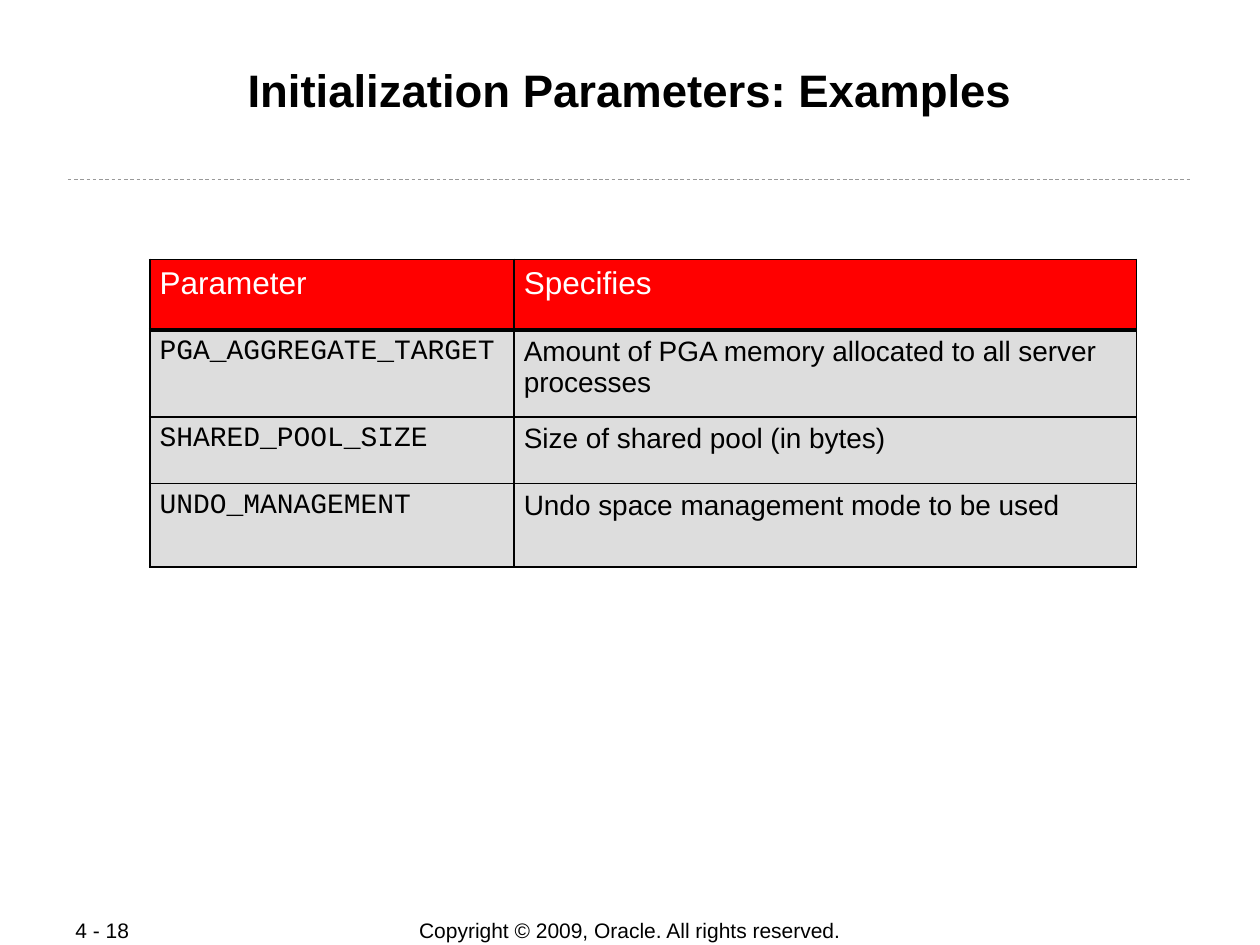
from pptx import Presentation
from pptx.dml.color import RGBColor
from pptx.enum.dml import MSO_LINE
from pptx.enum.shapes import MSO_CONNECTOR
from pptx.enum.text import MSO_ANCHOR, PP_ALIGN
from pptx.oxml.ns import qn
from pptx.util import Cm, Pt
from lxml.etree import SubElement

ROWS = [
    ("Parameter", "Specifies"),
    ("PGA_AGGREGATE_TARGET", "Amount of PGA memory allocated to all server processes"),
    ("SHARED_POOL_SIZE", "Size of shared pool (in bytes)"),
    ("UNDO_MANAGEMENT", "Undo space management mode to be used"),
]
COLS = [7.34, 12.55]
HEIGHTS = [1.42, 1.75, 1.35, 1.68]


def color(code):
    return RGBColor.from_string(code)


def write(frame, text, size, code="000000", face="Arial", bold=False, align=PP_ALIGN.LEFT):
    para = frame.paragraphs[0]
    para.alignment = align
    run = para.add_run()
    run.text = text
    font = run.font
    font.size, font.name, font.bold = Pt(size), face, bold
    font.color.rgb = color(code)


def add_box(slide, box, inset, wrap, anchor):
    frame = slide.shapes.add_textbox(*map(Cm, box)).text_frame
    frame.word_wrap = wrap
    frame.vertical_anchor = anchor
    frame.margin_left = frame.margin_right = Cm(inset[0])
    frame.margin_top = frame.margin_bottom = Cm(inset[1])
    return frame


def add_head(slide, left, top, width, height):
    frame = add_box(slide, (left, top, width, height), (0.03, 0.03), True, MSO_ANCHOR.TOP)
    write(frame, "Initialization Parameters: Examples", 26, bold=True, align=PP_ALIGN.CENTER)
    inset, base = 0.33, Cm(top + 2.39)
    rule = slide.shapes.add_connector(
        MSO_CONNECTOR.STRAIGHT, Cm(left - inset), base, Cm(left + width + inset), base)
    rule.line.color.rgb = color("999999")
    rule.line.width = Pt(0.5)
    rule.line.dash_style = MSO_LINE.DASH
    SubElement(rule._element.spPr, qn("a:effectLst"))


def add_edge(cell, side, width):
    line = SubElement(cell._tc.get_or_add_tcPr(), qn("a:" + side), w=str(Pt(width)))
    fill = SubElement(line, qn("a:solidFill"))
    SubElement(fill, qn("a:srgbClr"), val="000000")


def add_cell(cell, text, row, col):
    head = row == 0
    cell.margin_left = cell.margin_right = Cm(0.2)
    cell.margin_top = cell.margin_bottom = Cm(0.13)
    for side in ("lnL", "lnR", "lnT", "lnB"):
        thick = (side, row) in (("lnB", 0), ("lnT", 1))
        add_edge(cell, side, 2.21 if thick else 1.08)
    cell.fill.solid()
    cell.fill.fore_color.rgb = color("FF0000" if head else "DDDDDD")
    face = "Arial" if head or col else "Courier New"
    write(cell.text_frame, text, 18 if head else 16, "FFFFFF" if head else "000000", face)


def add_grid(slide, left, top):
    box = map(Cm, (left, top, sum(COLS), sum(HEIGHTS)))
    table = slide.shapes.add_table(len(ROWS), len(COLS), *box).table
    for col, width in zip(table.columns, COLS):
        col.width = Cm(width)
    for row, height in zip(table.rows, HEIGHTS):
        row.height = Cm(height)
    for row, texts in enumerate(ROWS):
        for col, text in enumerate(texts):
            add_cell(table.cell(row, col), text, row, col)


def add_foot(slide, left, top, width, height):
    wide = 11.4
    mid = left + (width - wide) / 2
    parts = [
        ("4 - 18", left, 2.69, PP_ALIGN.LEFT),
        ("Copyright © 2009, Oracle. All rights reserved.", mid, wide, PP_ALIGN.CENTER),
    ]
    for text, start, span, align in parts:
        frame = add_box(slide, (start, top, span, height), (0.25, 0.13), False, MSO_ANCHOR.MIDDLE)
        write(frame, text, 12, align=align)


def main():
    deck = Presentation()
    deck.slide_width, deck.slide_height = Cm(25.4), Cm(19.05)
    slide = deck.slides.add_slide(deck.slide_layouts[6])
    add_head(slide, 1.7, 1.22, 22, 2.44)
    add_grid(slide, 3.02, 5.23)
    add_foot(slide, 1.27, 18.49, 22.86, 0.52)
    deck.save("out.pptx")


if __name__ == "__main__":
    main()
